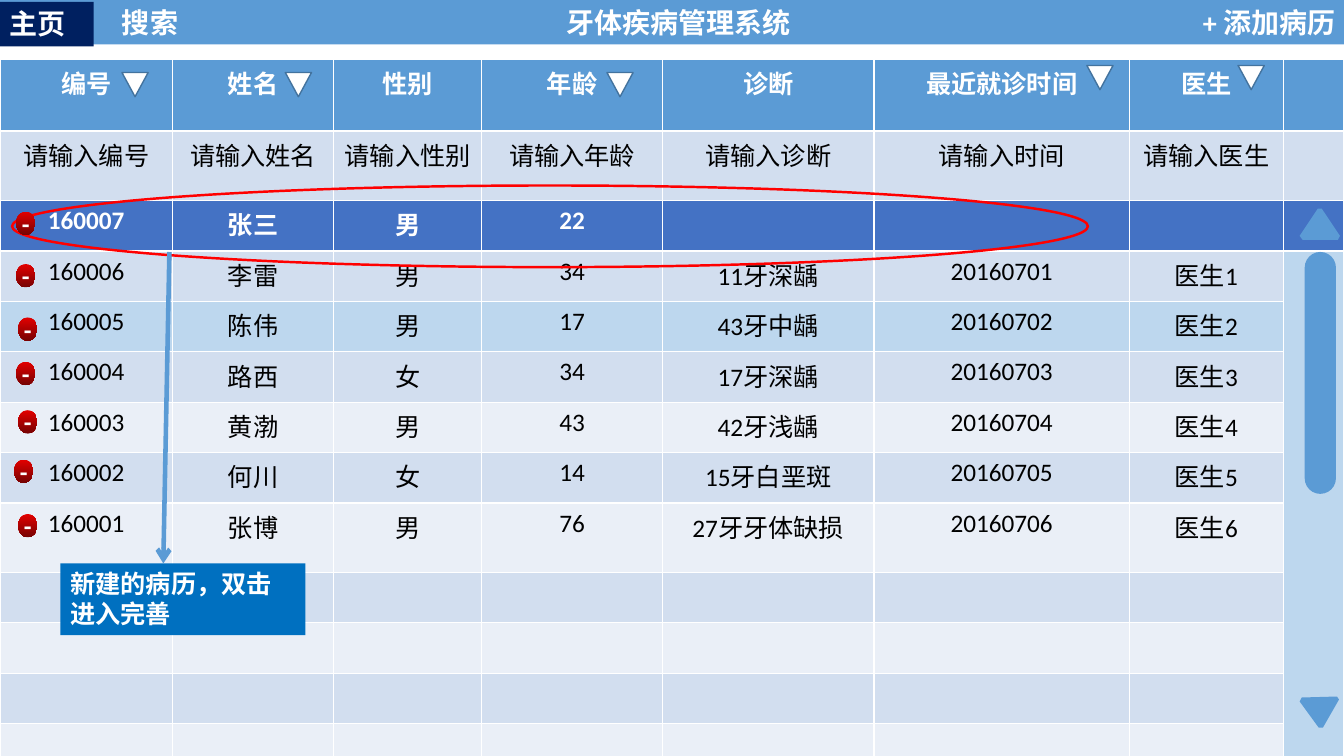
"""Builds the patient list page of a dental record system."""
from lxml.etree import SubElement
from pptx import Presentation
from pptx.dml.color import RGBColor
from pptx.enum.shapes import MSO_CONNECTOR, MSO_SHAPE
from pptx.enum.text import MSO_ANCHOR, MSO_AUTO_SIZE, PP_ALIGN
from pptx.oxml.ns import qn
from pptx.util import Inches, Pt

FONT = "Calibri"
COLORS = {
    "blue": "5B9BD5", "navy": "002060", "callout": "0070C0", "selected": "4472C4",
    "hover": "BDD7EE", "dark_band": "D2DEEF", "light_band": "EAEFF7", "white": "FFFFFF",
    "black": "000000", "outline": "43739E", "red": "FF0000",
    "button_top": "E30000", "button_bottom": "760303",
}

MENU = ("搜索", "牙体疾病管理系统", "+ 添加病历")
MENU_STOPS = (1.11, 5.52, 11.83)
HOME = "主页"
NOTE = "新建的病历，双击进入完善"

HEADINGS = ("编号", "姓名", "性别", "年龄", "诊断", "最近就诊时间", "医生")
PROMPTS = ("请输入编号", "请输入姓名", "请输入性别", "请输入年龄", "请输入诊断", "请输入时间", "请输入医生")
PATIENTS = [
    ("160007", "张三", "男", "22"),
    ("160006", "李雷", "男", "34", "11牙深龋", "20160701", "医生1"),
    ("160005", "陈伟", "男", "17", "43牙中龋", "20160702", "医生2"),
    ("160004", "路西", "女", "34", "17牙深龋", "20160703", "医生3"),
    ("160003", "黄渤", "男", "43", "42牙浅龋", "20160704", "医生4"),
    ("160002", "何川", "女", "14", "15牙白垩斑", "20160705", "医生5"),
    ("160001", "张博", "男", "76", "27牙牙体缺损", "20160706", "医生6"),
]
ROWS = [HEADINGS, PROMPTS, *PATIENTS, (), (), (), ()]
COLUMN_WIDTHS = (1.71, 1.6, 1.47, 1.79, 2.1, 2.53, 1.53, 0.6)
ROW_HEIGHTS = (0.71, 0.69, *[0.5] * 6, 0.69, *[0.5] * 3, 0.7)
SPECIAL_BANDS = {0: "blue", 2: "selected", 4: "hover"}
SCROLL_ROW = 3

SORT_MARKS = [(1.21, 0.72), (2.83, 0.72), (6.02, 0.72), (10.78, 0.65), (12.28, 0.65)]
DELETE_BUTTONS = [(0.16, 2.1), (0.16, 2.62), (0.18, 3.15), (0.16, 3.59),
                  (0.18, 4.07), (0.14, 4.56), (0.18, 5.1)]
SCROLL_ARROWS = [
    [(13.07, 2.07), (13.11, 2.07), (13.29, 2.34), (13.27, 2.38), (12.92, 2.38), (12.89, 2.34)],
    [(13.12, 7.22), (13.08, 7.22), (12.89, 6.96), (12.91, 6.92), (13.26, 6.91), (13.28, 6.94)],
]


def rgb(name):
    return RGBColor.from_string(COLORS[name])


def paint(shape, fill=None, line=None, weight=1):
    shape.shadow.inherit = False
    if fill:
        shape.fill.solid()
        shape.fill.fore_color.rgb = rgb(fill)
    else:
        shape.fill.background()
    if line:
        shape.line.color.rgb = rgb(line)
        shape.line.width = Pt(weight)
    else:
        shape.line.fill.background()


def add_shape(page, kind, place, fill=None, line=None, weight=1):
    shape = page.shapes.add_shape(kind, *map(Inches, place))
    paint(shape, fill, line, weight)
    return shape


def write(frame, text, size, color="white", bold=True, align=PP_ALIGN.LEFT):
    para = frame.paragraphs[0]
    para.alignment = align
    span = para.add_run()
    span.text = text
    span.font.name = FONT
    span.font.size = Pt(size)
    span.font.bold = bold
    span.font.color.rgb = rgb(color)


def fit(frame, anchor=MSO_ANCHOR.TOP, wrap=True):
    frame.auto_size = MSO_AUTO_SIZE.NONE
    frame.vertical_anchor = anchor
    frame.word_wrap = wrap


def add_menu_bar(page):
    bar = page.shapes.title
    bar.left, bar.top, bar.width, bar.height = map(Inches, (0, 0, 13.33, 0.44))
    bar.fill.solid()
    bar.fill.fore_color.rgb = rgb("blue")
    frame = bar.text_frame
    fit(frame)
    frame.margin_right = 0
    write(frame, "".join("\t" + label for label in MENU), 20)
    stops = SubElement(frame.paragraphs[0]._p.get_or_add_pPr(), qn("a:tabLst"))
    for position in MENU_STOPS:
        SubElement(stops, qn("a:tab"), pos=str(Inches(position)), algn="l")


def add_patient_table(page):
    place = map(Inches, (0, 0.59, sum(COLUMN_WIDTHS), sum(ROW_HEIGHTS)))
    table = page.shapes.add_table(len(ROWS), len(COLUMN_WIDTHS), *place).table
    for column, width in zip(table.columns, COLUMN_WIDTHS):
        column.width = Inches(width)
    for row, height in zip(table.rows, ROW_HEIGHTS):
        row.height = Inches(height)
    for index, values in enumerate(ROWS):
        band = SPECIAL_BANDS.get(index, "dark_band" if index % 2 else "light_band")
        if index == 1:
            band = "dark_band"
        strong = index in (0, 2)
        for cell in table.rows[index].cells:
            cell.fill.solid()
            cell.fill.fore_color.rgb = rgb(band)
        for column, text in enumerate(values):
            write(table.cell(index, column).text_frame, text, 18,
                  "white" if strong else "black", strong, PP_ALIGN.CENTER)
    last = len(COLUMN_WIDTHS) - 1
    scroll_track = table.cell(SCROLL_ROW, last)
    scroll_track.merge(table.cell(len(ROWS) - 1, last))
    scroll_track.fill.fore_color.rgb = rgb("hover")


def add_scroll_bar(page):
    for points in SCROLL_ARROWS:
        corners = [(Inches(x), Inches(y)) for x, y in points]
        builder = page.shapes.build_freeform(*corners[0])
        builder.add_line_segments(corners[1:], close=True)
        paint(builder.convert_to_shape(), "blue")
    thumb = add_shape(page, MSO_SHAPE.ROUNDED_RECTANGLE, (12.94, 2.5, 0.31, 2.4), "blue")
    thumb.adjustments[0] = 0.5


def add_label(page, place, fill, text, size):
    label = add_shape(page, MSO_SHAPE.RECTANGLE, place, fill)
    fit(label.text_frame)
    write(label.text_frame, text, size)


def add_note_arrow(page):
    ends = map(Inches, (1.68, 2.5, 1.62, 5.59))
    arrow = page.shapes.add_connector(MSO_CONNECTOR.STRAIGHT, *ends)
    arrow.line.color.rgb = rgb("blue")
    arrow.line.width = Pt(3.25)
    SubElement(arrow.line._get_or_add_ln(), qn("a:tailEnd"), type="arrow")
    SubElement(arrow._element.spPr, qn("a:effectLst"))


def add_delete_button(page, left, top):
    button = add_shape(page, MSO_SHAPE.OVAL, (left, top, 0.19, 0.23))
    button.fill.gradient()
    button.fill.gradient_angle = 270
    for stop, name in zip(button.fill.gradient_stops, ("button_top", "button_bottom")):
        stop.color.rgb = rgb(name)
    frame = button.text_frame
    fit(frame, MSO_ANCHOR.MIDDLE, False)
    frame.margin_left = frame.margin_right = frame.margin_top = frame.margin_bottom = 0
    write(frame, "-", 18, align=PP_ALIGN.CENTER)


def main():
    deck = Presentation()
    deck.slide_width, deck.slide_height = Inches(13.33), Inches(7.5)
    page = deck.slides.add_slide(deck.slide_layouts[5])
    add_menu_bar(page)
    add_patient_table(page)
    add_label(page, (0, 0.02, 0.93, 0.44), "navy", HOME, 20)
    add_scroll_bar(page)
    for left, top in SORT_MARKS:
        add_shape(page, MSO_SHAPE.FLOWCHART_MERGE, (left, top, 0.26, 0.24), "white", "outline")
    add_shape(page, MSO_SHAPE.OVAL, (0.12, 1.84, 10.67, 0.81), line="red", weight=1.75)
    add_label(page, (0.6, 5.59, 2.43, 0.71), "callout", NOTE, 18)
    add_note_arrow(page)
    for left, top in DELETE_BUTTONS:
        add_delete_button(page, left, top)
    deck.save("out.pptx")


if __name__ == "__main__":
    main()
